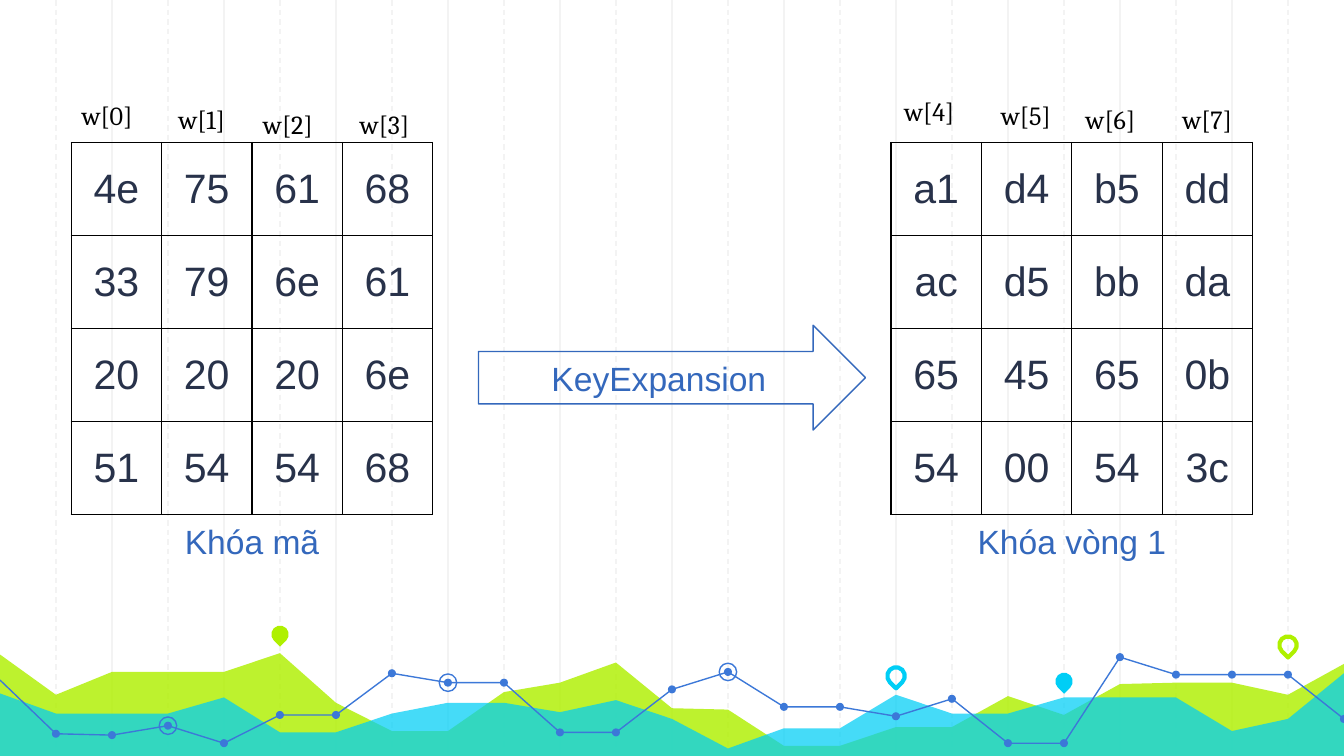
import dataclasses
import typing

import lxml.etree
import pptx
import pptx.dml.color
import pptx.enum.dml
import pptx.enum.shapes
import pptx.enum.text
import pptx.oxml.ns
import pptx.util

WIDTH = 10
HEIGHT = WIDTH * 9 / 16
COLUMN = WIDTH / 24
FLOOR = 5.65
LIME, CYAN, BLUE = "AFF000", "00CEF6", "3C78D8"
LABEL_BLUE, INK, GRID, BLACK = "3468BC", "28324A", "F3F3F3", "000000"
SHAPE = pptx.enum.shapes.MSO_SHAPE
CENTER = pptx.enum.text.PP_ALIGN.CENTER
LEFT = pptx.enum.text.PP_ALIGN.LEFT
MIDDLE = pptx.enum.text.MSO_ANCHOR.MIDDLE
TOP = pptx.enum.text.MSO_ANCHOR.TOP
inches = pptx.util.Inches


@dataclasses.dataclass
class Area:
    levels: list[float]
    color: str
    opacity: int


@dataclasses.dataclass
class Pin:
    column: int
    middle: float
    color: str
    solid: bool


@dataclasses.dataclass
class KeyBlock:
    left: float
    caption: str
    rows: list[str]
    first_word: int
    words_left: float
    word_tops: list[float]


AREAS = [
    Area([4.87, 5.17, 5, 5, 5, 4.86, 5.23, 5.44, 5.44, 5.15, 5.08, 4.93, 5.27, 5.28, 5.55,
          5.55, 5.41, 5.41, 5.18, 5.32, 5.09, 5.08, 5.08, 5.17, 4.94], LIME, 82),
    Area([5.16, 5.31, 5.31, 5.31, 5.19, 5.45, 5.45, 5.31, 5.23, 5.23, 5.3, 5.21, 5.35, 5.57,
          5.42, 5.42, 5.17, 5.31, 5.31, 5.19, 5.19, 5.19, 5.44, 5.35, 5.01], CYAN, 73),
]
TREND = [5.06, 5.46, 5.47, 5.4, 5.53, 5.32, 5.32, 5.01, 5.08, 5.08, 5.45, 5.45, 5.13, 5,
         5.26, 5.26, 5.33, 5.2, 5.53, 5.53, 4.89, 5.02, 5.02, 5.02, 5.35]
TREND_PARTS = [(0, 11), (11, 20), (20, 24)]
RINGED = [3, 8, 13]
PINS = [Pin(5, 4.72, LIME, True), Pin(16, 5.03, CYAN, False),
        Pin(19, 5.07, CYAN, True), Pin(23, 4.8, LIME, False)]
WORD_OFFSETS = [0, 0.72, 1.35, 2.07]
KEYS = [
    KeyBlock(0.53, "Khóa mã", ["4e 75 61 68", "33 79 6e 61", "20 20 20 6e", "51 54 54 68"],
             0, 0.51, [0.69, 0.72, 0.76, 0.76]),
    KeyBlock(6.63, "Khóa vòng 1", ["a1 d4 b5 dd", "ac d5 bb da", "65 45 65 0b", "54 00 54 3c"],
             4, 6.63, [0.66, 0.69, 0.72, 0.72]),
]


def rgb(color: str) -> pptx.dml.color.RGBColor:
    return pptx.dml.color.RGBColor.from_string(color)


def add_xml(parent: typing.Any, tag: str, **attributes: str) -> typing.Any:
    element = lxml.etree.SubElement(parent, pptx.oxml.ns.qn(tag))
    for name, value in attributes.items():
        element.set(name, value)
    return element


def paint(shape: typing.Any, fill: str = "", line: str = "", weight: float = 0.75) -> None:
    shape.shadow.inherit = False
    if fill:
        shape.fill.solid()
        shape.fill.fore_color.rgb = rgb(fill)
    else:
        shape.fill.background()
    if line:
        shape.line.color.rgb = rgb(line)
        shape.line.width = pptx.util.Pt(weight)
    else:
        shape.line.fill.background()


def write(frame: typing.Any, text: str, *, size: float, color: str, font: str = "Arial",
          align: typing.Any = CENTER) -> None:
    para = frame.paragraphs[0]
    para.alignment = align
    span = para.add_run()
    span.text = text
    span.font.size = pptx.util.Pt(size)
    span.font.name = font
    span.font.color.rgb = rgb(color)


def add_label(page: typing.Any, left: float, top: float, width: float, height: float,
              text: str, **style: typing.Any) -> None:
    box = page.shapes.add_textbox(*map(inches, (left, top, width, height)))
    box.text_frame.word_wrap = True
    box.text_frame.vertical_anchor = TOP
    write(box.text_frame, text, **style)


def add_grid_line(page: typing.Any, column: int) -> None:
    x = inches(column * COLUMN)
    rule = page.shapes.add_connector(pptx.enum.shapes.MSO_CONNECTOR.STRAIGHT,
                                     x, 0, x, inches(FLOOR))
    rule.line.color.rgb = rgb(GRID)
    rule.line.width = pptx.util.Pt(0.75)
    if column % 2:
        rule.line.dash_style = pptx.enum.dml.MSO_LINE.DASH
    add_xml(rule._element.spPr, "a:effectLst")


def add_outline(page: typing.Any, points: list[tuple[float, float]], close: bool) -> typing.Any:
    spots = [(inches(x), inches(y)) for x, y in points]
    builder = page.shapes.build_freeform(*spots[0], scale=1.0)
    builder.add_line_segments(spots[1:], close=close)
    return builder.convert_to_shape()


def add_area(page: typing.Any, area: Area) -> None:
    points = [(column * COLUMN, level) for column, level in enumerate(area.levels)]
    shape = add_outline(page, points + [(WIDTH, FLOOR), (0, FLOOR)], True)
    paint(shape, fill=area.color)
    tint = shape._element.spPr.find(".//" + pptx.oxml.ns.qn("a:srgbClr"))
    add_xml(tint, "a:alpha", val=str(area.opacity * 1000))


def add_mark(page: typing.Any, kind: typing.Any, column: int, middle: float, size: float,
             **look: typing.Any) -> typing.Any:
    mark = page.shapes.add_shape(kind, inches(column * COLUMN - size / 2),
                                 inches(middle - size / 2), inches(size), inches(size))
    paint(mark, **look)
    return mark


def add_pin(page: typing.Any, pin: Pin) -> None:
    look = {"fill": pin.color} if pin.solid else {"line": pin.color, "weight": 2.25}
    add_mark(page, SHAPE.TEAR, pin.column, pin.middle, 0.13, **look).rotation = 135


def add_borders(cell: typing.Any) -> None:
    properties = cell._tc.get_or_add_tcPr()
    for side in ("a:lnL", "a:lnR", "a:lnT", "a:lnB"):
        edge = add_xml(properties, side, w=str(pptx.util.Pt(0.75)))
        add_xml(add_xml(edge, "a:solidFill"), "a:srgbClr", val=BLACK)


def add_key(page: typing.Any, key: KeyBlock) -> None:
    frame = page.shapes.add_table(4, 4, inches(key.left), inches(1.06),
                                  inches(2.69), inches(2.77))
    table = frame.table
    table.first_row = table.horz_banding = False
    for row, line in enumerate(key.rows):
        for column, value in enumerate(line.split()):
            cell = table.cell(row, column)
            cell.vertical_anchor = MIDDLE
            add_borders(cell)
            cell.fill.background()
            write(cell.text_frame, value, size=22, color=INK)
    add_label(page, key.left + 0.32, 3.83, 2.05, 0.4, key.caption, size=18, color=LABEL_BLUE)
    for index, (offset, top) in enumerate(zip(WORD_OFFSETS, key.word_tops)):
        add_label(page, key.words_left + offset, top, 0.72, 0.34, f"w[{key.first_word + index}]",
                  size=14, color=BLACK, font="Cambria", align=LEFT)


deck = pptx.Presentation()
deck.slide_width, deck.slide_height = inches(WIDTH), inches(HEIGHT)
page = deck.slides.add_slide(deck.slide_layouts[6])

# Background grid: solid on even columns, dashed on odd ones
for column in [*range(2, 24, 2), *range(1, 24, 2)]:
    add_grid_line(page, column)

# Decorative chart along the bottom
for area in AREAS:
    add_area(page, area)
for first, last in TREND_PARTS:
    trend = [(column * COLUMN, TREND[column]) for column in range(first, last + 1)]
    paint(add_outline(page, trend, False), line=BLUE)
for column, level in enumerate(TREND[1:], 1):
    add_mark(page, SHAPE.OVAL, column, level, 0.06, fill=BLUE)
for column in RINGED:
    add_mark(page, SHAPE.OVAL, column, TREND[column], 0.13, line=BLUE)
for pin in PINS:
    add_pin(page, pin)

# Key tables with captions and word labels
for key in KEYS:
    add_key(page, key)

# Arrow between the tables
arrow = page.shapes.add_shape(SHAPE.RIGHT_ARROW, *map(inches, (3.56, 2.42, 2.88, 0.78)))
paint(arrow, line=LABEL_BLUE)
arrow.text_frame.word_wrap = True
arrow.text_frame.vertical_anchor = MIDDLE
write(arrow.text_frame, "KeyExpansion", size=18, color=LABEL_BLUE)

deck.save("out.pptx")
